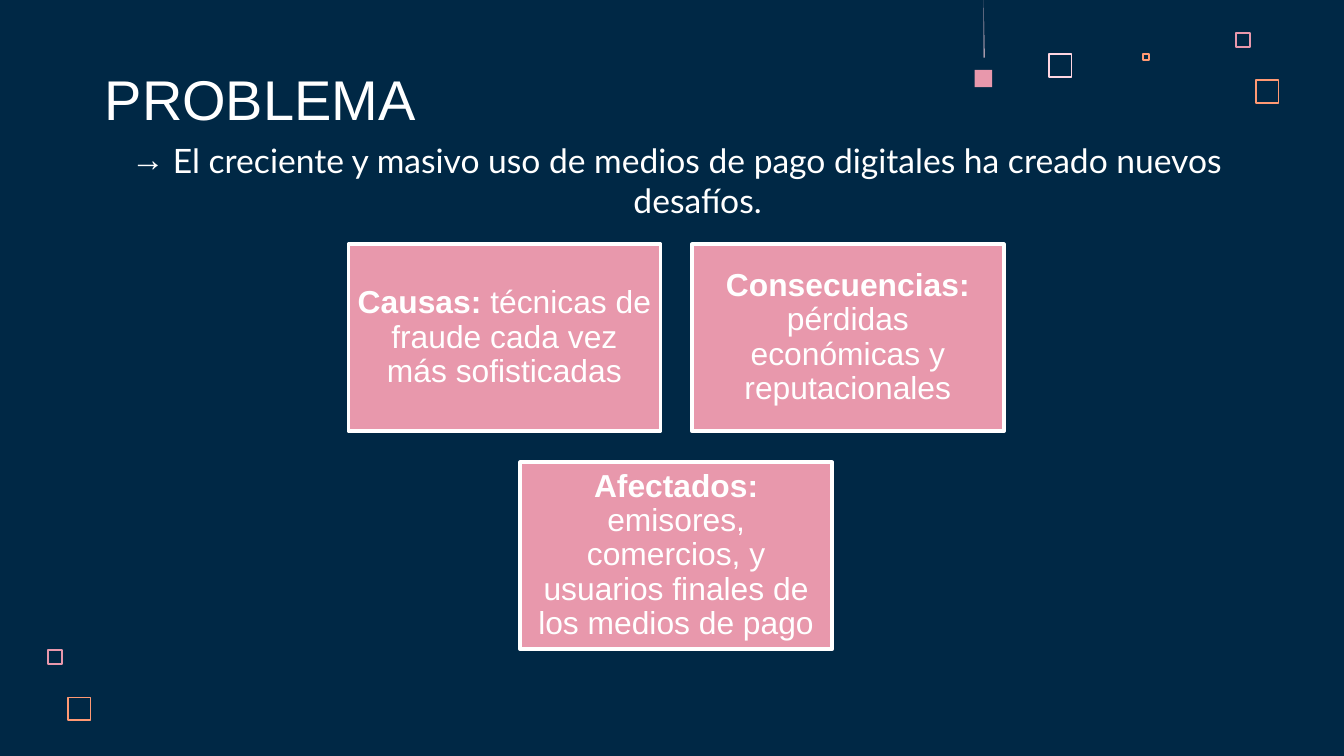
import pptx
import pptx.util
import pptx.dml.color
import pptx.enum.shapes
import pptx.enum.text
import pptx.oxml
import pptx.oxml.ns

Cm, Pt = pptx.util.Cm, pptx.util.Pt
ALIGN, ANCHOR = pptx.enum.text.PP_ALIGN, pptx.enum.text.MSO_ANCHOR

COLORS = {"navy": "002845", "white": "FFFFFF", "pink": "E898AC",
          "pale": "FFD6E1", "orange": "FF9973"}

TITLE = "PROBLEMA"
LEAD = "El creciente y masivo uso de medios de pago digitales ha creado nuevos desafíos."
CARD_ROWS = [
    [("Causas:", " técnicas de fraude cada vez más sofisticadas"),
     ("Consecuencias: ", "pérdidas económicas y reputacionales")],
    [("Afectados: ", "emisores, comercios, y usuarios finales de los medios de pago")],
]
# left, top, side in cm, colour
HOLLOW_SQUARES = [
    (19.81, 1.01, 0.46, "pale"), (23.34, 0.61, 0.3, "pink"),
    (21.59, 1.01, 0.14, "orange"), (23.72, 1.5, 0.46, "orange"),
    (0.89, 12.27, 0.3, "pink"), (1.27, 13.17, 0.46, "orange"),
]
CARD_W, CARD_H, GAP = 5.9, 3.53, 0.59
CARDS_CENTER, CARDS_TOP = 12.78, 4.62
SQUARE_LINE = 0.03


def rgb(name):
    return pptx.dml.color.RGBColor.from_string(COLORS[name])


def add_rect(left, top, width, height, fill=None, line=None, line_width=0):
    s = slide.shapes.add_shape(pptx.enum.shapes.MSO_SHAPE.RECTANGLE,
                               Cm(left), Cm(top), Cm(width), Cm(height))
    s.shadow.inherit = False
    paint(s, fill, line, line_width)
    return s


def paint(s, fill, line=None, line_width=0):
    if fill:
        s.fill.solid()
        s.fill.fore_color.rgb = rgb(fill)
    else:
        s.fill.background()
    if line:
        s.line.color.rgb = rgb(line)
        s.line.width = line_width
    else:
        s.line.fill.background()


def write(s, parts, font, size, align, anchor, inset):
    """Fill a shape with one paragraph made of (text, bold) parts."""
    tf = s.text_frame
    tf.word_wrap = True
    tf.vertical_anchor = anchor
    tf.margin_left = tf.margin_right = tf.margin_top = tf.margin_bottom = Cm(inset)
    p = tf.paragraphs[0]
    p.alignment = align
    for text, bold in parts:
        r = p.add_run()
        r.text = text
        r.font.name, r.font.size, r.font.bold = font, Pt(size), bold
        r.font.color.rgb = rgb("white")
    return p


def add_arrow_bullet(p, indent):
    pPr = p._p.get_or_add_pPr()
    pPr.set("marL", str(Cm(indent)))
    pPr.set("indent", str(-Cm(indent)))
    ns = pptx.oxml.ns.nsdecls("a")
    for xml in (f'<a:buClr {ns}><a:srgbClr val="{COLORS["white"]}"/></a:buClr>',
                f'<a:buFont {ns} typeface="Arial"/>',
                f'<a:buChar {ns} char="→"/>'):
        pPr.append(pptx.oxml.parse_xml(xml))


prs = pptx.Presentation()
prs.slide_width, prs.slide_height = Cm(25.4), Cm(14.29)
slide = prs.slides.add_slide(prs.slide_layouts[6])
slide.background.fill.solid()
slide.background.fill.fore_color.rgb = rgb("navy")

for left, top, side, color in HOLLOW_SQUARES:
    inner = side - SQUARE_LINE
    add_rect(left + SQUARE_LINE / 2, top + SQUARE_LINE / 2, inner, inner,
             line=color, line_width=Cm(SQUARE_LINE))

add_rect(18.42, 1.32, 0.33, 0.33, fill="pink")
builder = slide.shapes.build_freeform(Cm(18.59), Cm(0))
builder.add_line_segments([(Cm(18.59), Cm(1.09)), (Cm(18.61), Cm(1.09))], close=True)
needle = builder.convert_to_shape()
needle.shadow.inherit = False
paint(needle, "pale")

title = slide.shapes.add_textbox(Cm(1.73), Cm(1.14), Cm(17.1), Cm(1.6))
write(title, [(TITLE, False)], "Arial", 30, ALIGN.LEFT, ANCHOR.BOTTOM, 0.25)

for row, cards in enumerate(CARD_ROWS):
    row_width = len(cards) * (CARD_W + GAP) - GAP
    for col, (label, detail) in enumerate(cards):
        card = add_rect(CARDS_CENTER - row_width / 2 + col * (CARD_W + GAP),
                        CARDS_TOP + row * (CARD_H + GAP), CARD_W, CARD_H,
                        "pink", "white", Pt(2))
        p = write(card, [(label, True), (detail, False)], "Arial", 17,
                  ALIGN.CENTER, ANCHOR.MIDDLE, 0.17)
        p.line_spacing = 0.9

lead = slide.shapes.add_textbox(Cm(1.73), Cm(2.39), Cm(22.12), Cm(3.35))
p = write(lead, [(LEAD, False)], "Lato", 18, ALIGN.CENTER, ANCHOR.TOP, 0.25)
add_arrow_bullet(p, 0.79)

prs.save("out.pptx")
